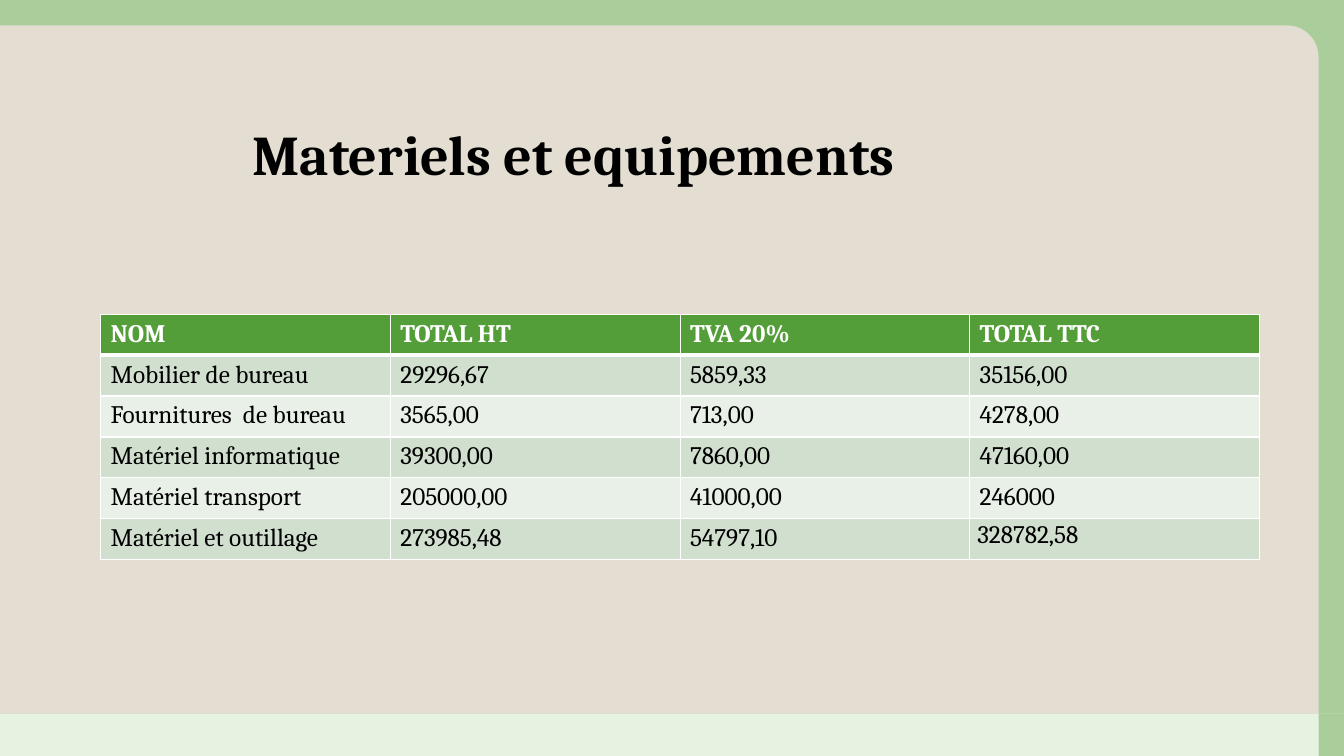
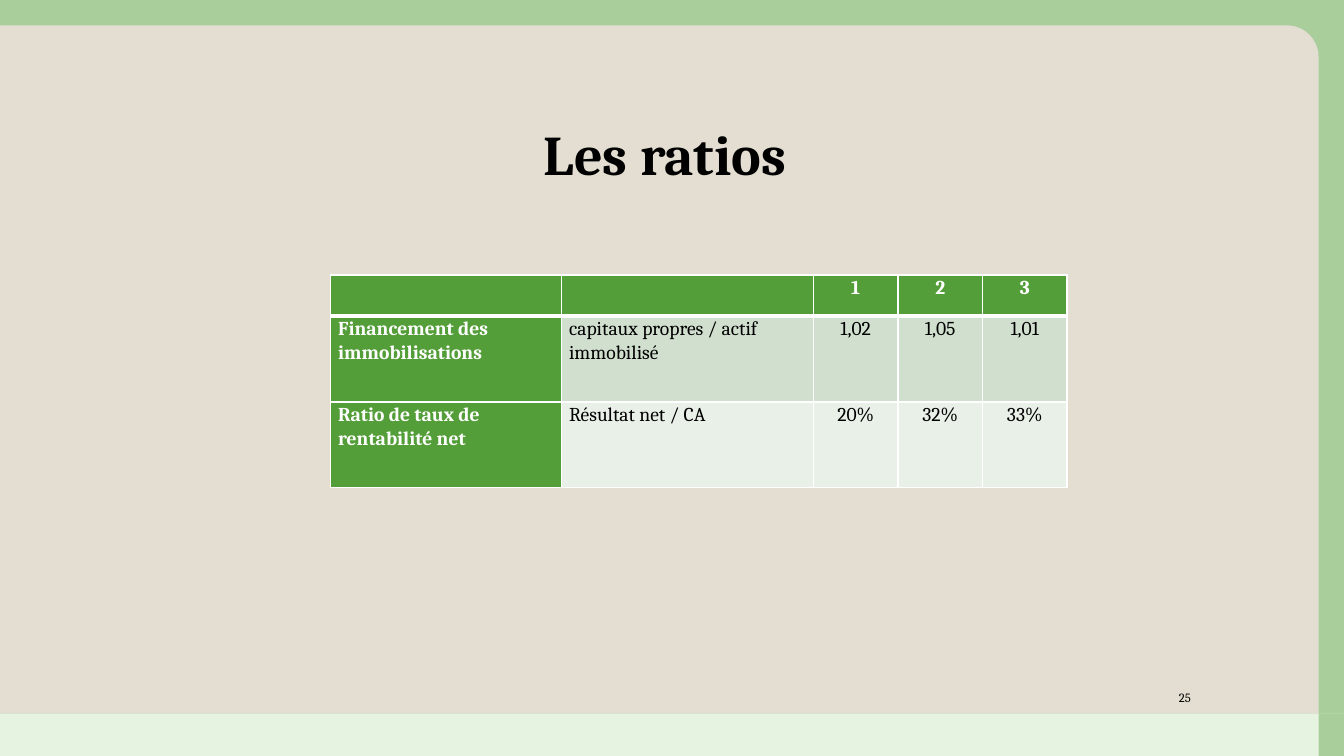
import pptx
import pptx.util
import pptx.dml.color
import pptx.enum.shapes
import pptx.enum.text
import pptx.oxml
import pptx.oxml.ns

Cm = pptx.util.Cm
Pt = pptx.util.Pt
Align = pptx.enum.text.PP_ALIGN
Anchor = pptx.enum.text.MSO_ANCHOR
Shape = pptx.enum.shapes.MSO_SHAPE

COLOURS = {
    "green": "549E39",
    "pale green": "DBEFD4",
    "beige": "E3DED1",
    "odd row": "D1DFCE",
    "even row": "E9F0E8",
    "black": "000000",
    "white": "FFFFFF",
}
FONT = "Cambria"

# Page geometry in centimetres
PAGE_W, PAGE_H = 33.87, 19.05
EDGE = 0.64
FOOTER_TOP = 17.98
TITLE_BOX = (3.58, 1.57, 26.67, 3.3)
NUMBER_BOX = (28.14, 17.35, 2.12, 0.43)

# Cell styles: side inset, top and bottom inset, line spacing
ROOMY = (0.25, 0.13, 1.0)
COMPACT = (0.19, 0, 1.07)

EQUIPMENT = [
    ["NOM", "TOTAL HT", "TVA 20%", "TOTAL TTC"],
    ["Mobilier de bureau", "29296,67", "5859,33", "35156,00"],
    ["Fournitures  de bureau", "3565,00", "713,00", "4278,00"],
    ["Matériel informatique", "39300,00", "7860,00", "47160,00"],
    ["Matériel transport", "205000,00", "41000,00", "246000"],
    ["Matériel et outillage", "273985,48", "54797,10", "328782,58"],
]
RATIOS = [
    ["", "", "1", "2", "3"],
    ["Financement des immobilisations", "capitaux propres / actif immobilisé",
     "1,02", "1,05", "1,01"],
    ["Ratio de taux de rentabilité net", "Résultat net / CA",
     "20%", "32%", "33%"],
]


def rgb(colour):
    return pptx.dml.color.RGBColor.from_string(COLOURS[colour])


def lengths(values):
    return [Cm(value) for value in values]


def add_run(paragraph, text, size, colour="black", bold=False):
    run = paragraph.add_run()
    run.text = text
    run.font.name = FONT
    run.font.size = Pt(size)
    run.font.bold = bold
    run.font.color.rgb = rgb(colour)


def add_panel(slide, box, colour, opacity=100, preset=Shape.RECTANGLE):
    panel = slide.shapes.add_shape(preset, *lengths(box))
    panel.shadow.inherit = False
    panel.line.fill.background()
    panel.fill.solid()
    panel.fill.fore_color.rgb = rgb(colour)
    if opacity < 100:
        srgb = panel.fill._xPr.find(".//" + pptx.oxml.ns.qn("a:srgbClr"))
        alpha = pptx.oxml.parse_xml(
            f'<a:alpha {pptx.oxml.ns.nsdecls("a")} val="{opacity * 1000}"/>')
        srgb.append(alpha)
    return panel


def add_frame(slide):
    inner_w = PAGE_W - EDGE
    footer_h = PAGE_H - FOOTER_TOP
    add_panel(slide, (0, FOOTER_TOP, inner_w, footer_h), "pale green", 70)
    add_panel(slide, (inner_w, FOOTER_TOP, EDGE, footer_h), "green", 50)
    add_panel(slide, (0, 0, PAGE_W, FOOTER_TOP), "green", 50)
    content = add_panel(slide, (0, EDGE, inner_w, FOOTER_TOP - EDGE), "beige",
                        preset=Shape.ROUND_1_RECTANGLE)
    content.adjustments[0] = 0.046


def add_text(slide, box, text, size, align, anchor, bold=False,
             spacing=1.0, indent=0.25, inset=0.13):
    frame = slide.shapes.add_textbox(*lengths(box)).text_frame
    frame.word_wrap = True
    frame.vertical_anchor = anchor
    frame.margin_left = Cm(indent)
    frame.margin_top = frame.margin_bottom = Cm(inset)
    paragraph = frame.paragraphs[0]
    paragraph.alignment = align
    paragraph.line_spacing = spacing
    add_run(paragraph, text, size, bold=bold)


def add_title(slide, text, align=Align.LEFT, indent=0.25):
    add_text(slide, TITLE_BOX, text, 40, align, Anchor.BOTTOM,
             bold=True, spacing=0.9, indent=indent)


def set_borders(cell, top, bottom):
    widths = {"lnL": 1, "lnR": 1, "lnT": top, "lnB": bottom}
    for position, (side, width) in enumerate(widths.items()):
        border = pptx.oxml.parse_xml(
            f'<a:{side} {pptx.oxml.ns.nsdecls("a")} w="{Pt(width)}">'
            f'<a:solidFill><a:srgbClr val="{COLOURS["white"]}"/></a:solidFill>'
            f'</a:{side}>')
        cell._tc.get_or_add_tcPr().insert(position, border)


def set_layout(cell, style):
    side, vertical, spacing = style
    cell.margin_left = cell.margin_right = Cm(side)
    cell.margin_top = cell.margin_bottom = Cm(vertical)
    cell.text_frame.paragraphs[0].line_spacing = spacing


def add_grid(slide, origin, widths, heights, rows, size, style,
             header_column=False, first_centred=None):
    """Table with a header row, banded body and optional header column."""
    grid = slide.shapes.add_table(
        len(rows), len(widths), *lengths(origin),
        Cm(sum(widths)), Cm(sum(heights))).table
    for column, width in zip(grid.columns, widths):
        column.width = Cm(width)
    for r, (texts, height) in enumerate(zip(rows, heights)):
        grid.rows[r].height = Cm(height)
        band = "odd row" if r % 2 else "even row"
        for c, text in enumerate(texts):
            cell = grid.cell(r, c)
            heading = r == 0 or (header_column and c == 0)
            cell.fill.solid()
            cell.fill.fore_color.rgb = rgb("green" if heading else band)
            set_borders(cell, 3 if r == 1 else 1, 3 if r == 0 else 1)
            set_layout(cell, style)
            paragraph = cell.text_frame.paragraphs[0]
            if first_centred is not None and c >= first_centred:
                paragraph.alignment = Align.CENTER
            if text:
                add_run(paragraph, text, size,
                        "white" if heading else "black", heading)
    return grid


def add_equipment_slide(deck):
    slide = deck.slides.add_slide(deck.slide_layouts[6])
    add_frame(slide)
    add_title(slide, "Materiels et equipements", indent=2.79)
    equipment = add_grid(slide, (2.54, 7.92), [7.3] * 4, [1.03] * 6,
                         EQUIPMENT, 18, ROOMY)
    set_layout(equipment.cell(5, 3), COMPACT)


def add_ratios_slide(deck):
    slide = deck.slides.add_slide(deck.slide_layouts[6])
    add_frame(slide)
    add_title(slide, "Les ratios ", Align.CENTER)
    add_grid(slide, (8.33, 6.93), [5.82, 6.35] + [2.13] * 3,
             [1.04, 2.16, 2.16], RATIOS, 14, COMPACT,
             header_column=True, first_centred=2)
    add_text(slide, NUMBER_BOX, "25", 9, Align.RIGHT, Anchor.MIDDLE, inset=0)


def main():
    deck = pptx.Presentation()
    deck.slide_width = Cm(PAGE_W)
    deck.slide_height = Cm(PAGE_H)
    add_equipment_slide(deck)
    add_ratios_slide(deck)
    deck.save("out.pptx")


if __name__ == "__main__":
    main()
